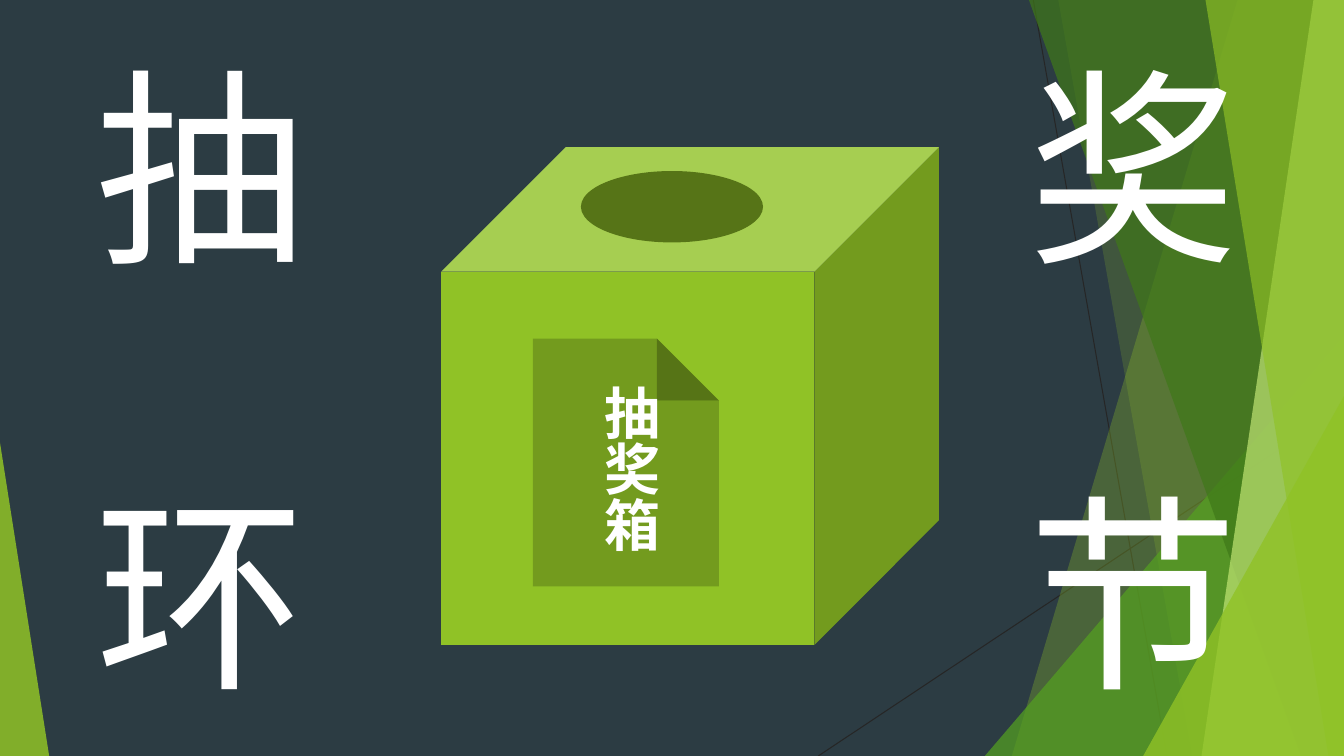
from lxml import etree
from pptx import Presentation
from pptx.dml.color import RGBColor
from pptx.enum.shapes import MSO_CONNECTOR, MSO_SHAPE
from pptx.enum.text import MSO_AUTO_SIZE
from pptx.oxml.ns import qn
from pptx.util import Cm, Pt

STRAIGHT = MSO_CONNECTOR.STRAIGHT
TRIANGLE = MSO_SHAPE.ISOSCELES_TRIANGLE
CUBE = MSO_SHAPE.CUBE
OVAL = MSO_SHAPE.OVAL
DOCUMENT = MSO_SHAPE.ACTION_BUTTON_DOCUMENT
GROW = MSO_AUTO_SIZE.SHAPE_TO_FIT_TEXT

SLATE = RGBColor(0x2C, 0x3C, 0x43)
CHARCOAL = RGBColor(0x26, 0x26, 0x26)
LIME = RGBColor(0x90, 0xC2, 0x26)
PALE_LIME = RGBColor(0xC0, 0xE4, 0x74)
GREEN = RGBColor(0x54, 0xA0, 0x21)
FOREST = RGBColor(0x3F, 0x78, 0x19)
OLIVE = RGBColor(0x56, 0x74, 0x17)
WHITE = RGBColor(0xFF, 0xFF, 0xFF)

WIDTH, HEIGHT = 33.87, 19.05

HAIRLINES = [
    (26.04, 0, 29.41, HEIGHT),
    (WIDTH, 10.24, 20.62, HEIGHT),
]
# kind, then (top x, bottom x) for a band or (left, top, width, apex) for a wedge
FACETS = [
    ("band", (31.19, 25.5), LIME, 30),
    ("band", (26.67, 30.05), LIME, 20),
    ("wedge", (24.82, 8.46, 9.05, 1), GREEN, 72),
    ("band", (25.93, 32.79), FOREST, 70),
    ("band", (33.1, 30.28), PALE_LIME, 70),
    ("band", (30.38, 33.48), LIME, 65),
    ("wedge", (28.81, 9.98, 5.06, 1), LIME, 80),
    ("wedge", (0, 11.15, 1.24, 0), LIME, 85),
]
CORNER_ROWS = ["抽奖", "环节"]
CORNER_LEFTS = [2.16, 25.68]
CORNER_TOPS = [0.81, 11.56]
BOX_LABEL = "抽奖箱"


def paint(shape, color, opacity=100):
    shape.shadow.inherit = False
    shape.fill.solid()
    shape.fill.fore_color.rgb = color
    shape.line.fill.background()
    if opacity < 100:
        color_element = shape._element.spPr.find(qn("a:solidFill"))[0]
        alpha = etree.SubElement(color_element, qn("a:alpha"))
        alpha.set("val", str(opacity * 1000))


def add_preset(slide, kind, left, top, width, height, color, opacity=100):
    shape = slide.shapes.add_shape(kind, Cm(left), Cm(top), Cm(width), Cm(height))
    paint(shape, color, opacity)
    return shape


def add_hairline(slide, *ends):
    line = slide.shapes.add_connector(STRAIGHT, *map(Cm, ends))
    line.line.color.rgb = CHARCOAL
    line.line.width = Pt(0.75)
    etree.SubElement(line._element.spPr, qn("a:effectLst"))


def add_band(slide, top_x, bottom_x, color, opacity):
    corners = [(top_x, 0), (WIDTH, 0), (WIDTH, HEIGHT), (bottom_x, HEIGHT)]
    points = [(Cm(x), Cm(y)) for x, y in corners]
    builder = slide.shapes.build_freeform(*points[0])
    builder.add_line_segments(points[1:], close=True)
    paint(builder.convert_to_shape(), color, opacity)


def add_wedge(slide, left, top, width, apex, color, opacity):
    wedge = add_preset(slide, TRIANGLE, left, top, width, HEIGHT - top, color, opacity)
    wedge.adjustments[0] = apex


def add_text(slide, text, left, top, width, height, *, size, font, bold=False, vertical=False):
    box = slide.shapes.add_textbox(Cm(left), Cm(top), Cm(width), Cm(height))
    frame = box.text_frame
    frame.word_wrap = True
    frame.auto_size = GROW
    if vertical:
        frame._txBody.bodyPr.set("vert", "eaVert")
    run = frame.paragraphs[0].add_run()
    run.text = text
    run.font.size = Pt(size)
    run.font.bold = bold
    run.font.color.rgb = WHITE
    run.font.name = font
    east_asian = etree.SubElement(run._r.rPr, qn("a:ea"))
    east_asian.set("typeface", font)


def main():
    presentation = Presentation()
    presentation.slide_width = Cm(WIDTH)
    presentation.slide_height = Cm(HEIGHT)
    slide = presentation.slides.add_slide(presentation.slide_layouts[6])
    slide.background.fill.solid()
    slide.background.fill.fore_color.rgb = SLATE

    for ends in HAIRLINES:
        add_hairline(slide, *ends)
    draw_facet = {"band": add_band, "wedge": add_wedge}
    for kind, geometry, color, opacity in FACETS:
        draw_facet[kind](slide, *geometry, color, opacity)

    add_preset(slide, CUBE, 11.12, 3.71, 12.54, 12.54, LIME)
    for row, top in zip(CORNER_ROWS, CORNER_TOPS):
        for character, left in zip(row, CORNER_LEFTS):
            add_text(slide, character, left, top, 7.5, 6.68, size=150, font="Noto Sans CJK JP")
    add_preset(slide, OVAL, 14.64, 4.31, 4.59, 1.8, OLIVE)
    add_preset(slide, DOCUMENT, 11.24, 7.49, 9.07, 8.33, LIME)
    add_text(slide, BOX_LABEL, 14.63, 9.47, 2.24, 4.78,
             size=40, font="Noto Sans CJK SC", bold=True, vertical=True)

    presentation.save("out.pptx")


if __name__ == "__main__":
    main()
